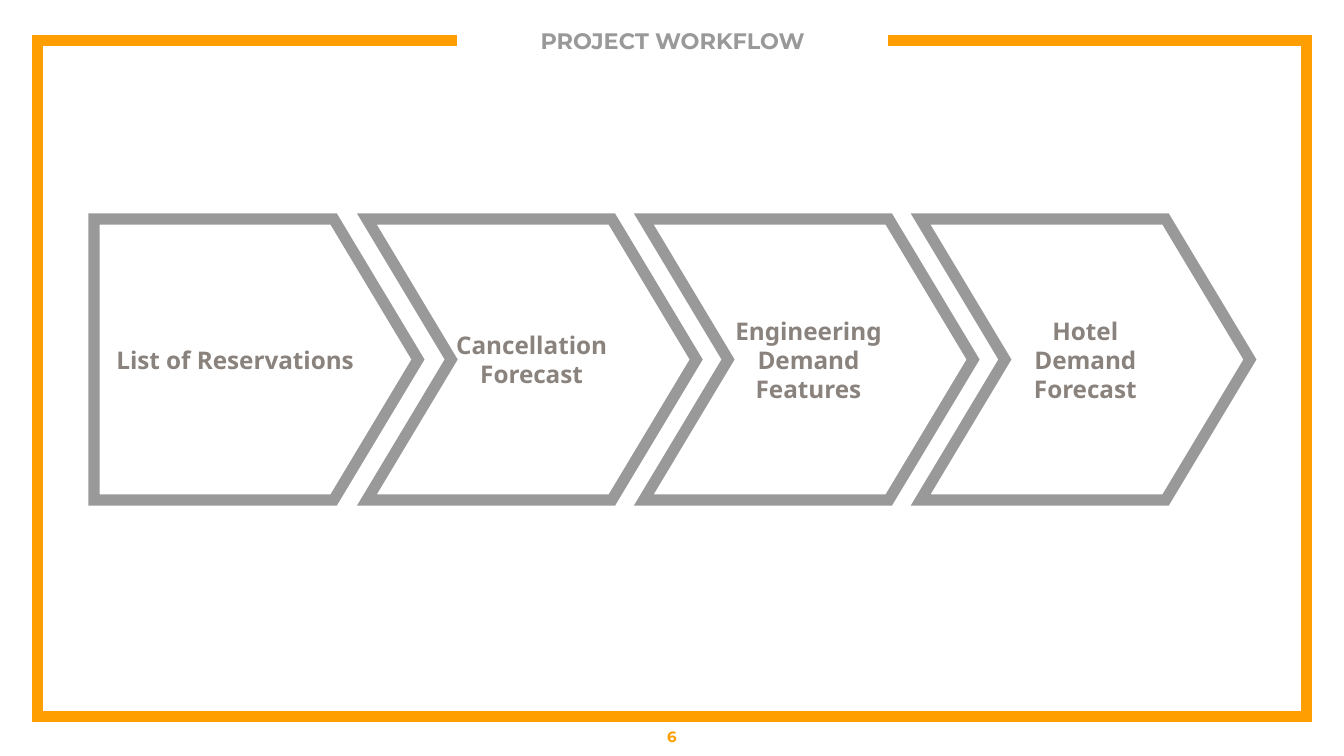
from lxml.etree import SubElement
from pptx import Presentation
from pptx.dml.color import RGBColor
from pptx.enum.shapes import MSO_SHAPE
from pptx.enum.text import MSO_ANCHOR, PP_ALIGN
from pptx.oxml.ns import qn
from pptx.util import Inches, Pt

# Content
TITLE = "PROJECT WORKFLOW"
NUMBER = "6"
STEPS = [  # label, side inset
    ("List of Reservations", 0.1),
    ("Cancellation Forecast", 0),
    ("Engineering Demand Features", 0),
    ("Hotel Demand Forecast", 0.1),
]

# Theme: font, size, colour
THEME = {
    "title": ("Montserrat", 12, "999999"),
    "number": ("Montserrat", 8, "FF9E00"),
    "step": ("Noto Sans", 13, "8A827D"),
    "frame": "FF9E00",
    "arrow": "999999",
    "line": 6,
}

# Layout, 16:9
WIDTH = 10
HEIGHT = WIDTH * 9 / 16
EDGE, TOP, BASE = 0.28, 0.3, 5.33
GAP = (3.4, 6.61)  # opening in the frame around the title
ROW, TALL = 1.63, 2.09
FIRST = (0.7, 2.41)  # left, width
NEXT, PITCH, WIDE = 2.73, 2.06, 2.45


def outline(shape, color):
    shape.shadow.inherit = False
    shape.fill.background()
    shape.line.color.rgb = RGBColor.from_string(color)
    shape.line.width = Pt(THEME["line"])
    line = shape.line.fill._xPr
    SubElement(line, qn("a:miter")).set("lim", "800000")


def write(shape, text, style, anchor, side=0.1):
    font, size, color = THEME[style]
    frame = shape.text_frame
    frame.word_wrap = True
    frame.vertical_anchor = anchor
    frame.margin_left = frame.margin_right = Inches(side)
    frame.margin_top = frame.margin_bottom = Inches(0.1)
    para = frame.paragraphs[0]
    para.alignment = PP_ALIGN.CENTER
    run = para.add_run()
    run.text = text
    run.font.name = font
    run.font.size = Pt(size)
    run.font.bold = True
    run.font.color.rgb = RGBColor.from_string(color)


deck = Presentation()
deck.slide_width, deck.slide_height = Inches(WIDTH), Inches(HEIGHT)
shapes = deck.slides.add_slide(deck.slide_layouts[6]).shapes

# Frame, open at the top
right = WIDTH - EDGE
corners = [(GAP[0], TOP), (EDGE, TOP), (EDGE, BASE),
           (right, BASE), (right, TOP), (GAP[1], TOP)]
points = [(Inches(x), Inches(y)) for x, y in corners]
pen = shapes.build_freeform(*points[0])
pen.add_line_segments(points[1:], close=False)
outline(pen.convert_to_shape(), THEME["frame"])

# Title and slide number
title = shapes.add_textbox(Inches(3.55), Inches(0.1), Inches(2.91), Inches(0.8))
write(title, TITLE, "title", MSO_ANCHOR.TOP)
number = shapes.add_textbox(0, Inches(BASE), Inches(WIDTH), Inches(0.3))
write(number, NUMBER, "number", MSO_ANCHOR.MIDDLE)

# Workflow arrows
for i, (label, side) in enumerate(STEPS):
    kind = MSO_SHAPE.CHEVRON if i else MSO_SHAPE.PENTAGON
    left, wide = (NEXT + (i - 1) * PITCH, WIDE) if i else FIRST
    arrow = shapes.add_shape(kind, Inches(left), Inches(ROW), Inches(wide), Inches(TALL))
    arrow.adjustments[0] = 0.3
    outline(arrow, THEME["arrow"])
    write(arrow, label, "step", MSO_ANCHOR.MIDDLE, side)

deck.save("out.pptx")
